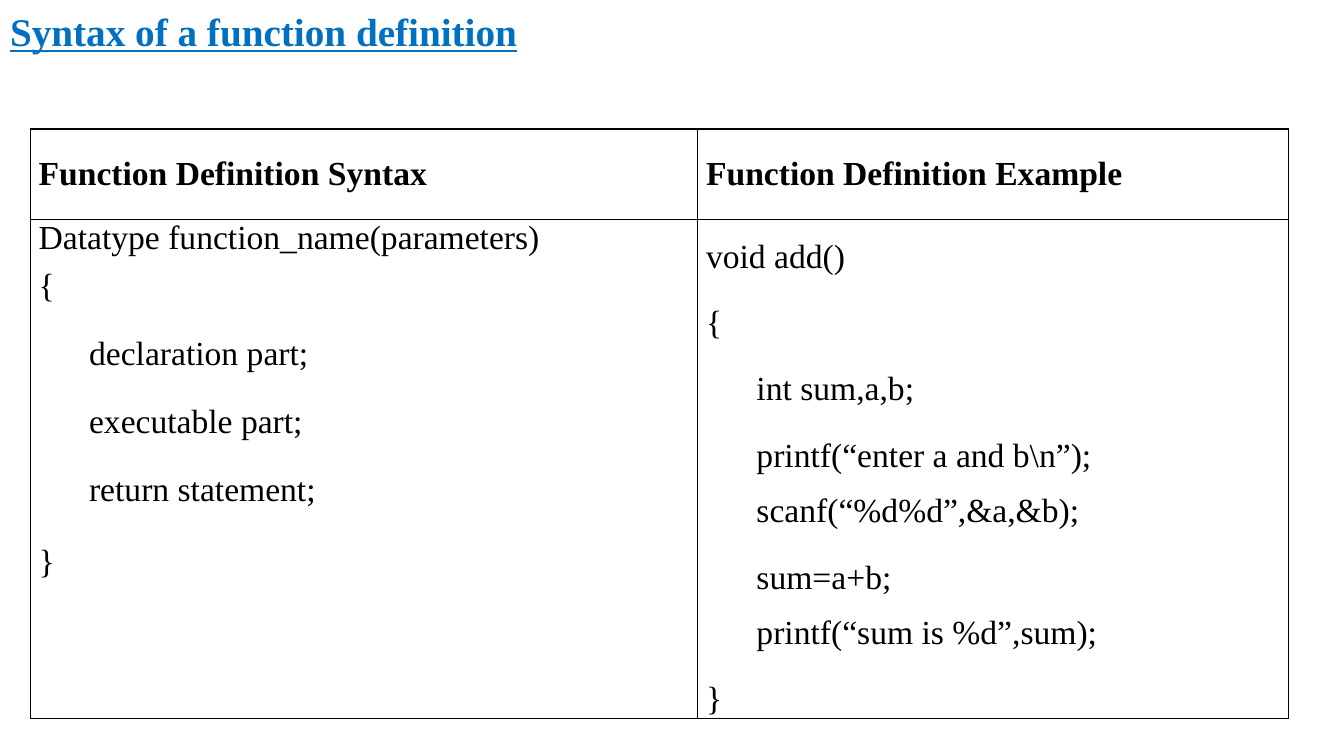
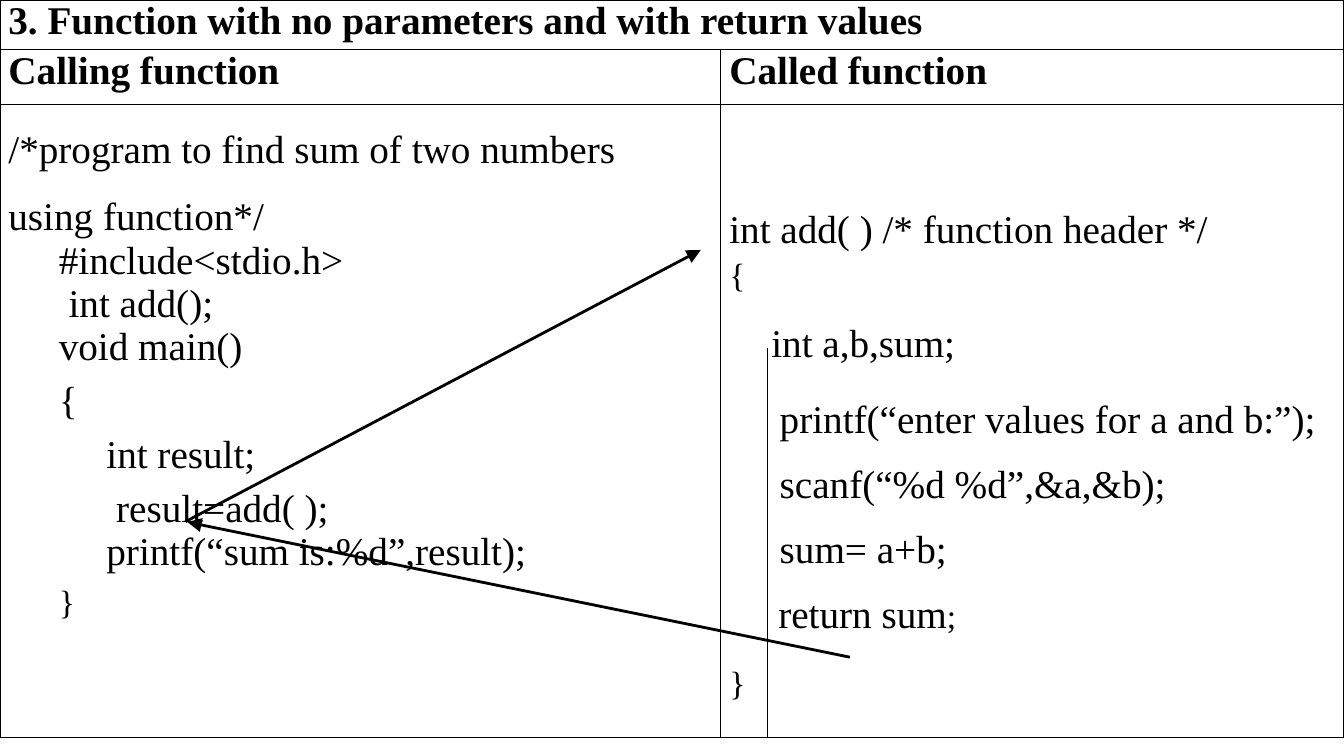
from dataclasses import dataclass

from lxml.etree import SubElement
from pptx import Presentation
from pptx.dml.color import RGBColor
from pptx.enum.dml import MSO_LINE
from pptx.enum.shapes import MSO_CONNECTOR
from pptx.enum.text import MSO_ANCHOR, MSO_AUTO_SIZE, PP_ALIGN
from pptx.oxml.ns import qn
from pptx.util import Inches, Pt


@dataclass(frozen=True)
class Theme:
    font: str = "Times New Roman"
    background: RGBColor = RGBColor(255, 255, 255)
    ink: RGBColor = RGBColor(0, 0, 0)
    accent: RGBColor = RGBColor(0x00, 0x70, 0xC0)
    large: int = 28
    medium: int = 24
    border: float = 1
    hairline: float = 0.5
    arrow: float = 2
    margin: int = 6
    block: int = 42
    nested: int = 76
    space: int = 7


@dataclass(frozen=True)
class Line:
    text: str
    indent: float = Theme.margin
    before: float = 0
    spacing: float = 1
    size: int = Theme.large
    tail: str = ""
    bold: bool = False


class Deck:
    TITLE_ONLY, BLANK = 5, 6

    def __init__(self, theme):
        self.theme = theme
        self.presentation = Presentation()
        self.presentation.slide_width = Inches(13.33)
        self.presentation.slide_height = Inches(7.5)
        self.slide = None

    def across(self, percent):
        return round(self.presentation.slide_width * percent / 100)

    def down(self, percent):
        return round(self.presentation.slide_height * percent / 100)

    def add_slide(self, layout):
        self.slide = self.presentation.slides.add_slide(self.presentation.slide_layouts[layout])
        fill = self.slide.background.fill
        fill.solid()
        fill.fore_color.rgb = self.theme.background

    def style(self, run, size, bold=False, color=None):
        run.font.name = self.theme.font
        run.font.size = Pt(size)
        run.font.bold = bold
        run.font.color.rgb = color or self.theme.ink

    def title(self, text, height):
        shape = self.slide.shapes.title
        shape.left, shape.top = 0, 0
        shape.width, shape.height = self.across(100), self.down(height)
        frame = shape.text_frame
        frame.text = text
        frame.auto_size = MSO_AUTO_SIZE.NONE
        frame.vertical_anchor = MSO_ANCHOR.MIDDLE
        paragraph = frame.paragraphs[0]
        paragraph.alignment = PP_ALIGN.LEFT
        run = paragraph.runs[0]
        self.style(run, self.theme.large, True, self.theme.accent)
        run.font.underline = True

    def table(self, left, top, columns, rows):
        shape = self.slide.shapes.add_table(
            len(rows), len(columns), self.across(left), self.down(top),
            self.across(sum(columns)), self.down(sum(rows)))
        table = shape.table
        table.first_row = table.horz_banding = False
        for column, width in zip(table.columns, columns):
            column.width = self.across(width)
        for row, height in zip(table.rows, rows):
            row.height = self.down(height)
        for cell in table.iter_cells():
            cell.margin_left = cell.margin_right = cell.margin_top = cell.margin_bottom = 0
            self.border(cell)
            cell.fill.background()
        return table

    def border(self, cell):
        properties = cell._tc.get_or_add_tcPr()
        for side in ("a:lnL", "a:lnR", "a:lnT", "a:lnB"):
            edge = SubElement(properties, qn(side), w=str(Pt(self.theme.border)))
            fill = SubElement(edge, qn("a:solidFill"))
            SubElement(fill, qn("a:srgbClr"), val=str(self.theme.ink))

    def cell_text(self, cell, lines, anchor=MSO_ANCHOR.TOP, top=0):
        cell.vertical_anchor = anchor
        cell.margin_top = Pt(top)
        frame = cell.text_frame
        for index, line in enumerate(lines):
            paragraph = frame.add_paragraph() if index else frame.paragraphs[0]
            paragraph.text = line.text
            paragraph.alignment = PP_ALIGN.LEFT
            paragraph.space_before = Pt(line.before)
            paragraph.line_spacing = line.spacing
            paragraph._p.get_or_add_pPr().set("marL", str(Pt(line.indent)))
            self.style(paragraph.runs[0], line.size, line.bold)
            if line.tail:
                run = paragraph.add_run()
                run.text = line.tail
                self.style(run, self.theme.medium)

    def line(self, start, end, width, arrow=False):
        connector = self.slide.shapes.add_connector(
            MSO_CONNECTOR.STRAIGHT, self.across(start[0]), self.down(start[1]),
            self.across(end[0]), self.down(end[1]))
        connector.line.color.rgb = self.theme.ink
        connector.line.width = Pt(width)
        connector.line.dash_style = MSO_LINE.SOLID
        properties = connector._element.spPr
        if arrow:
            SubElement(properties.find(qn("a:ln")), qn("a:tailEnd"),
                       type="triangle", w="lg", len="lg")
        SubElement(properties, qn("a:effectLst"))


def syntax_slide(deck):
    theme = deck.theme

    def code(text, indent=theme.margin, before=0.0, spacing=1.0):
        return Line(text, indent, before, spacing, theme.medium)

    syntax = [
        code("Datatype function_name(parameters)"),
        code("{", before=7.6),
        *(code(text, theme.block, 7.5, 1.55)
          for text in ("declaration part;", "executable part;", "return statement;")),
        code("}", before=25),
    ]
    example = [
        code("void add()", spacing=1.5),
        code("{", before=7.6, spacing=1.5),
        code("int sum,a,b;", theme.block, 7.5, 1.5),
        code("printf(“enter a and b\\n”);", theme.block, 7.5, 1.5),
        code("scanf(“%d%d”,&a,&b);", theme.block, 0, 1.5),
        code("sum=a+b;", theme.block, 7.5, 1.5),
        code("printf(“sum is %d”,sum);", theme.block, 0, 1.5),
        code("}", before=7.5, spacing=1.5),
    ]
    deck.add_slide(deck.TITLE_ONLY)
    deck.title("Syntax of a function definition", 8.2)
    table = deck.table(2.25, 17.07, (49.66, 43.96), (12, 65.87))
    headings = ("Function Definition Syntax", "Function Definition Example")
    for column, (heading, body) in enumerate(zip(headings, (syntax, example))):
        deck.cell_text(table.cell(0, column), [Line(heading, size=theme.medium, bold=True)],
                       MSO_ANCHOR.MIDDLE)
        deck.cell_text(table.cell(1, column), body)


def return_value_slide(deck):
    theme = deck.theme
    calling = [
        Line("/*program to find sum of two numbers", spacing=1.55),
        Line("using function*/", spacing=1.55),
        Line("#include<stdio.h>", theme.block),
        Line("int add();", theme.block + theme.space),
        Line("void main()", theme.block),
        Line("{", theme.block, 7.3),
        Line("int result;", theme.nested, 7.6),
        Line("result=add( );", theme.nested + theme.space, 7.6),
        Line("printf(“sum is:%d”,result);", theme.nested),
        Line("}", theme.block, 7.5, size=theme.medium),
    ]
    called = [
        Line("int add( ) /* function header */"),
        Line("{", before=4.4, size=theme.medium),
        Line("int a,b,sum;", 36, 4.3, 1.5),
        Line("printf(“enter values for a and b:”);", theme.block, 7.5, 1.5),
        Line("scanf(“%d %d”,&a,&b);", theme.block, spacing=1.5),
        Line("sum= a+b;", theme.block, spacing=1.5),
        Line("return sum", theme.block - 1, spacing=1.5, tail=";"),
        Line("}", before=7, spacing=1.5, size=theme.medium),
    ]
    deck.add_slide(deck.BLANK)
    table = deck.table(0, 0, (53.64, 46.36), (6.53, 7.33, 83.73))
    table.cell(0, 0).merge(table.cell(0, 1))
    deck.cell_text(table.cell(0, 0),
                   [Line("3. Function with no parameters and with return values", bold=True)])
    for column, heading in enumerate(("Calling function", "Called function")):
        deck.cell_text(table.cell(1, column), [Line(heading, bold=True)])
    deck.cell_text(table.cell(2, 0), calling)
    deck.cell_text(table.cell(2, 1), called, top=74)
    deck.line((57.12, 46), (57.12, 97.6), theme.hairline)
    deck.line((13.8, 69), (52.14, 33.07), theme.arrow, arrow=True)
    deck.line((63.24, 86.93), (13.95, 69.07), theme.arrow, arrow=True)


def main():
    deck = Deck(Theme())
    syntax_slide(deck)
    return_value_slide(deck)
    deck.presentation.save("out.pptx")


if __name__ == "__main__":
    main()
